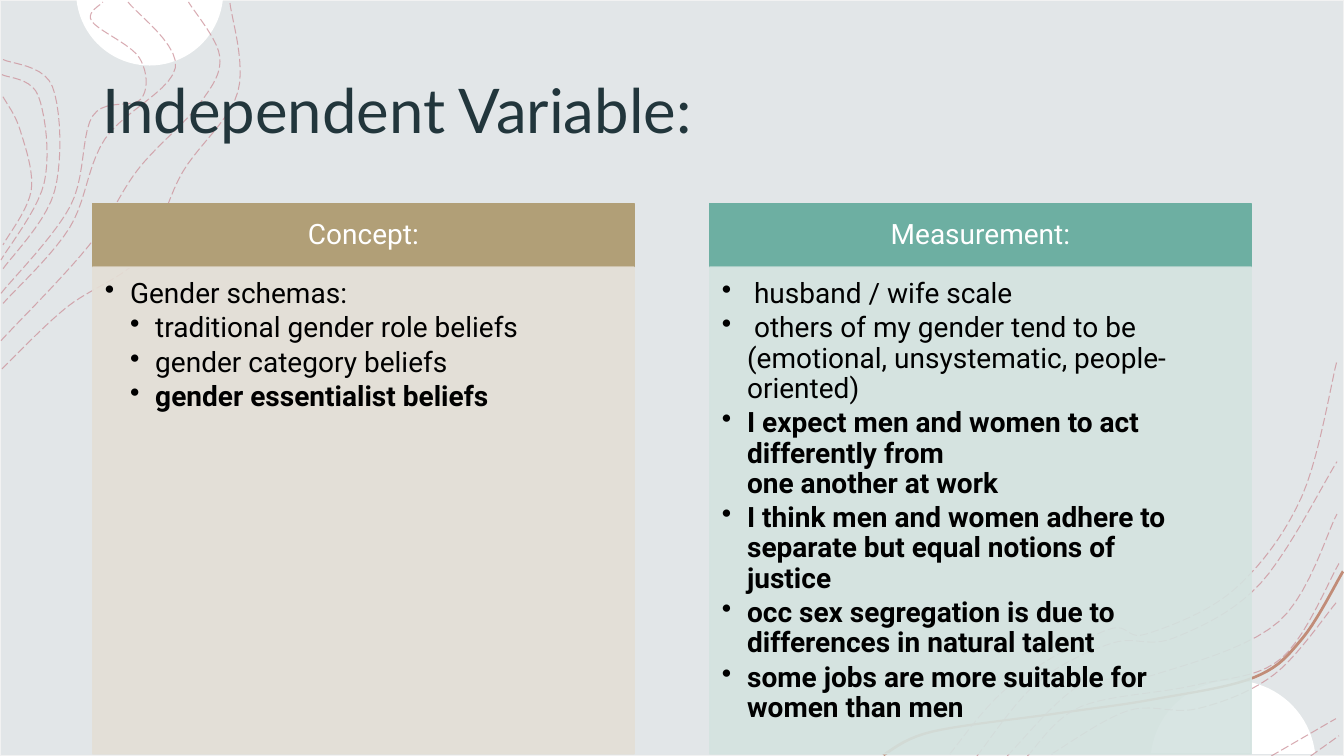
"""Build the slide on the independent variable: its concept and its measurement."""
from math import cos, pi, sin

from lxml import etree
from pptx import Presentation
from pptx.dml.color import RGBColor
from pptx.enum.dml import MSO_LINE
from pptx.enum.shapes import MSO_SHAPE
from pptx.enum.text import MSO_ANCHOR, PP_ALIGN
from pptx.oxml.ns import qn
from pptx.util import Inches, Pt


def paint(fill, hex_color, opacity=100):
    fill.solid()
    fill.fore_color.rgb = RGBColor.from_string(hex_color)
    if opacity < 100:
        for color in fill._xPr.iter(qn("a:srgbClr")):
            etree.SubElement(color, qn("a:alpha")).set("val", str(opacity * 1000))


def smooth(anchors, steps=10):
    padded = [anchors[0], *anchors, anchors[-1]]
    points = []
    for corners in zip(padded, padded[1:], padded[2:], padded[3:]):
        for step in range(steps):
            t = step / steps
            points.append(tuple(
                q + ((r - p) * t + (2 * p - 5 * q + 4 * r - s) * t ** 2
                     + (3 * q - p - 3 * r + s) * t ** 3) / 2
                for p, q, r, s in zip(*corners)))
    return points + [anchors[-1]]


contours = [
    [(0.02, 3.66), (0.66, 3.05), (1.41, 2.54), (1.81, 1.71), (2.36, 0.91), (2.28, 0.02)],
    [(0.01, 3.38), (0.88, 2.44), (1.37, 1.68), (1.98, 1.03), (2.18, 0.56), (1.87, 0.02)],
    [(1.27, 0.02), (1.74, 0.67), (1.04, 1.38), (0.69, 2.26), (0.03, 3.01)],
    [(0.01, 2.91), (0.7, 2.04), (0.92, 1.15), (1.4, 0.98), (1.38, 0.57), (0.91, 0.21),
     (1.02, 0.02)],
    [(0.03, 0.59), (0.52, 0.86), (0.54, 1.9), (0.02, 2.68)],
    [(0.02, 0.74), (0.38, 0.95), (0.44, 1.81), (0.01, 2.58)],
    [(0.03, 0.96), (0.2, 1.29), (0.31, 1.89), (0.03, 2.43)],
    [(9.42, 7.48), (10.02, 6.8), (10.98, 6.25), (11.37, 6.29), (12.24, 5.85),
     (12.91, 4.93), (13.26, 3.58)],
    [(9.69, 7.5), (10.29, 6.77), (11.03, 6.38), (11.64, 6.33), (12.5, 5.79), (13.26, 4.58)],
    [(13, 7.5), (13.28, 7.3)],
    [(12.61, 7.5), (13.25, 7.13)],
    [(10.43, 7.48), (11.19, 7.05), (11.88, 7.03), (12.64, 6.69), (13.26, 5.97)],
    [(10.19, 7.5), (10.72, 7.01), (11.84, 6.8), (12.71, 6.53), (13.28, 5.59)],
    [(9.99, 7.5), (10.71, 6.8), (11.43, 6.7), (12.68, 6.17), (13.26, 5.1)],
]
ribbon_edge = smooth([(8.77, 7.5), (9.25, 7.27), (10.48, 7.09), (11.44, 6.95),
                      (12.45, 6.73), (12.93, 6.34), (13.33, 5.68)])
ribbon = ribbon_edge + [(x - 0.02, y - 0.02) for x, y in reversed(ribbon_edge)]
arc = [pi * (0.035 + 0.93 * step / 40) for step in range(41)]
top_disc = [(1.485 + 0.73 * cos(a), -0.08 + 0.73 * sin(a)) for a in arc]
bottom_disc = [(12.23 + 0.82 * cos(a), 7.57 - 0.82 * sin(a)) for a in arc]

outlines = [(top_disc, "FFFFFF", True), (bottom_disc, "FFFFFF", True),
            (ribbon, "C18C78", True)]
outlines += [(smooth(contour), "CC9099", False) for contour in contours]

columns = [
    (0.92, "Concept:", "B19F77", "E4DFD6", [
        ("Gender schemas:", 1, False),
        ("traditional gender role beliefs", 2, False),
        ("gender category beliefs", 2, False),
        ("gender essentialist beliefs", 2, True)]),
    (7.04, "Measurement:", "6DAFA2", "D4E3E0", [
        (" husband / wife scale", 1, False),
        (" others of my gender tend to be (emotional, unsystematic, people-oriented)", 1, False),
        ("I expect men and women to act differently from\none another at work", 1, True),
        ("I think men and women adhere to separate but equal notions of\njustice", 1, True),
        ("occ sex segregation is due to differences in natural talent", 1, True),
        ("some jobs are more suitable for women than men", 1, True)]),
]

presentation = Presentation()
presentation.slide_width = Inches(13.33)
presentation.slide_height = Inches(7.5)
slide = presentation.slides.add_slide(presentation.slide_layouts[6])
shapes = slide.shapes

backdrop = shapes.add_shape(MSO_SHAPE.RECTANGLE, 0, 0, Inches(13.33), Inches(7.5))
backdrop.shadow.inherit = False
paint(backdrop.fill, "E2E6E8")
paint(backdrop.line.fill, "F2F2F2")
backdrop.line.width = Pt(1)

for points, color, filled in outlines:
    start, *rest = [(Inches(x), Inches(y)) for x, y in points]
    builder = shapes.build_freeform(*start)
    builder.add_line_segments(rest, close=filled)
    outline = builder.convert_to_shape()
    outline.shadow.inherit = False
    if filled:
        paint(outline.fill, color)
        outline.line.fill.background()
    else:
        outline.fill.background()
        paint(outline.line.fill, color, 75)
        outline.line.width = Pt(0.75)
        outline.line.dash_style = MSO_LINE.LONG_DASH

title = shapes.add_textbox(Inches(0.92), Inches(0.4), Inches(11.5), Inches(1.45)).text_frame
title.word_wrap = True
title.vertical_anchor = MSO_ANCHOR.MIDDLE
title.text = "Independent Variable:"
title.paragraphs[0].line_spacing = 0.9
title_font = title.paragraphs[0].runs[0].font
title_font.name, title_font.size = "Lato", Pt(44)
title_font.color.rgb = RGBColor.from_string("22363C")

for left, heading, header_color, panel_color, points in columns:
    parts = [(2.02, 0.63, header_color, 100, "FFFFFF", [(heading, 0, False)]),
             (2.65, 4.83, panel_color, 90, "000000", points)]
    for top, height, color, opacity, text_color, entries in parts:
        block = shapes.add_shape(MSO_SHAPE.RECTANGLE, Inches(left), Inches(top),
                                 Inches(5.37), Inches(height))
        block.shadow.inherit = False
        block.line.width = Pt(1)
        for surface in (block.fill, block.line.fill):
            paint(surface, color, opacity)
        frame = block.text_frame
        frame.word_wrap = True
        is_header = entries[0][1] == 0
        frame.vertical_anchor = MSO_ANCHOR.MIDDLE if is_header else MSO_ANCHOR.TOP
        frame.margin_left = Inches(0.16 if is_header else 0.12)
        frame.margin_right = Inches(0.16)
        frame.margin_top = Inches(0.09 if is_header else 0.12)
        frame.margin_bottom = Inches(0.09 if is_header else 0.17)
        for index, (wording, level, bold) in enumerate(entries):
            paragraph = frame.add_paragraph() if index else frame.paragraphs[0]
            paragraph.text = wording
            paragraph.line_spacing = 0.9
            paragraph.alignment = PP_ALIGN.CENTER if is_header else PP_ALIGN.LEFT
            if level:
                paragraph.level = level
                paragraph.space_after = Pt(3)
                properties = paragraph._p.get_or_add_pPr()
                properties.set("marL", str(Inches(0.25 * level)))
                properties.set("indent", str(Inches(-0.25)))
                etree.SubElement(properties, qn("a:buChar")).set("char", "•")
            for run in paragraph.runs:
                run.font.name, run.font.size, run.font.bold = "Roboto", Pt(20), bold
                run.font.color.rgb = RGBColor.from_string(text_color)

presentation.save("out.pptx")
